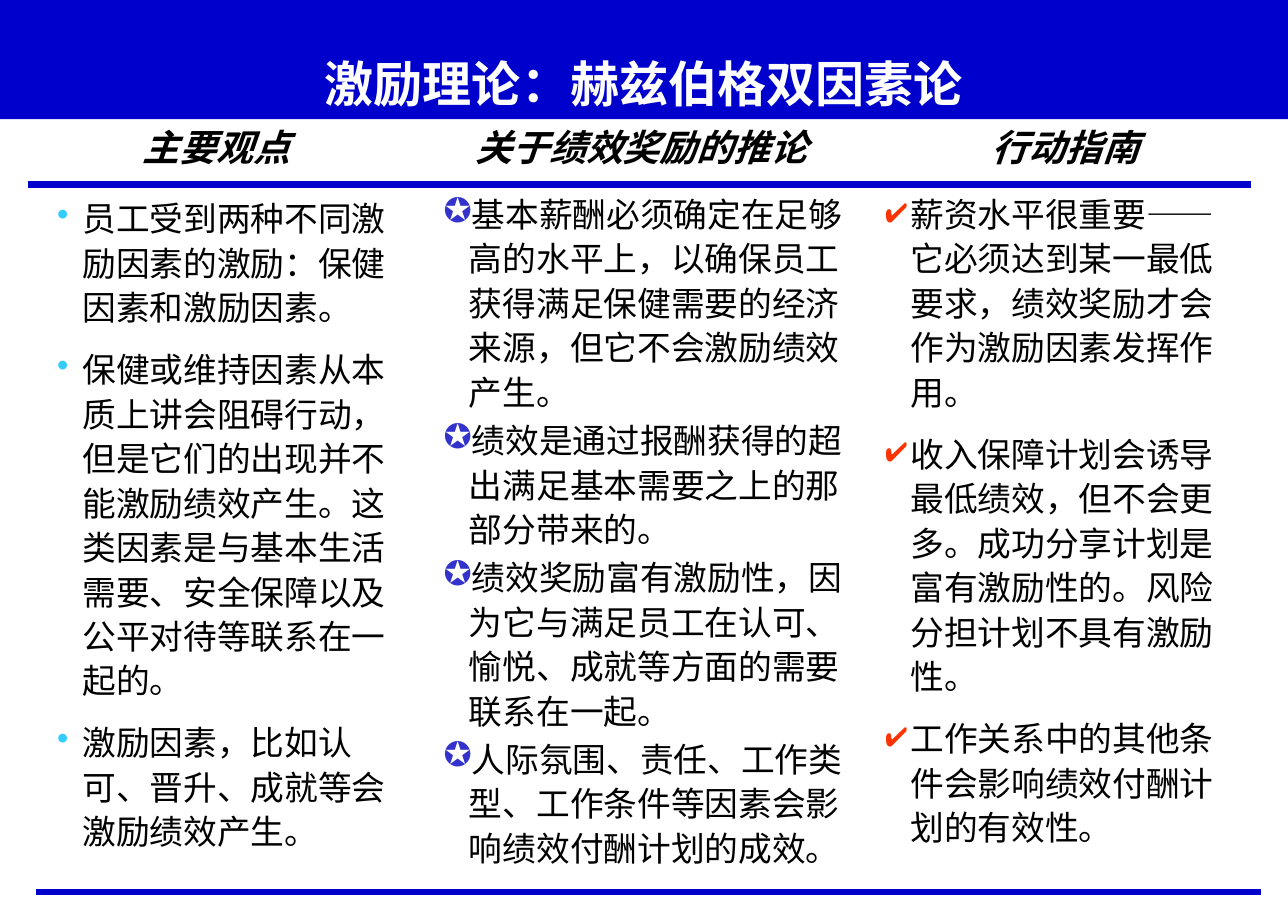
from pptx import Presentation
from pptx.dml.color import RGBColor
from pptx.enum.shapes import MSO_CONNECTOR, MSO_SHAPE
from pptx.enum.text import MSO_ANCHOR, MSO_AUTO_SIZE, PP_ALIGN
from pptx.oxml.ns import qn
from pptx.util import Inches, Pt
from lxml import etree

BLUE = RGBColor(0x00, 0x00, 0xCC)
WHITE = RGBColor(0xFF, 0xFF, 0xFF)
BLACK = RGBColor(0x00, 0x00, 0x00)
CYAN = RGBColor(0x33, 0xCC, 0xFF)
INDIGO = RGBColor(0x33, 0x33, 0xCC)
ORANGE = RGBColor(0xFF, 0x33, 0x00)
CENTER = PP_ALIGN.CENTER
CHINESE_FONT = "Noto Sans CJK SC"
BODY_FONT = "Times New Roman"
LINE_HEIGHT = Pt(29)

# heading, heading box, body box, bullet, bullet colour, paragraph gap, points
COLUMNS = [
    ("主要观点", (0.42, 1.08, 3.08, 0.5), (0.42, 1.71, 3.33, 5.7), "•", CYAN, 11.4, [
        "员工受到两种不同激励因素的激励：保健因素和激励因素。",
        "保健或维持因素从本质上讲会阻碍行动，但是它们的出现并不能激励绩效产生。"
        "这类因素是与基本生活需要、安全保障以及公平对待等联系在一起的。",
        "激励因素，比如认可、晋升、成就等会激励绩效产生。",
    ]),
    ("关于绩效奖励的推论", (4.08, 1.08, 3.46, 0.5), (3.92, 1.67, 4, 6.25), "✪", INDIGO, 2.4, [
        "基本薪酬必须确定在足够高的水平上，以确保员工获得满足保健需要的经济来源，"
        "但它不会激励绩效产生。",
        "绩效是通过报酬获得的超出满足基本需要之上的那部分带来的。",
        "绩效奖励富有激励性，因为它与满足员工在认可、愉悦、成就等方面的需要联系在一起。",
        "人际氛围、责任、工作类型、工作条件等因素会影响绩效付酬计划的成效。",
    ]),
    ("行动指南", (7.92, 1.08, 3.46, 0.5), (7.92, 1.67, 3.25, 6.11), "✔", ORANGE, 11.4, [
        "薪资水平很重要——它必须达到某一最低要求，绩效奖励才会作为激励因素发挥作用。",
        "收入保障计划会诱导最低绩效，但不会更多。成功分享计划是富有激励性的。"
        "风险分担计划不具有激励性。",
        "工作关系中的其他条件会影响绩效付酬计划的有效性。",
    ]),
]


def add_run(p, text, size, font, color, bold=False, italic=False):
    """Add a run with the given Latin font and the Chinese font."""
    r = p.add_run()
    r.text = text
    r.font.size = Pt(size)
    r.font.name = font
    r.font.color.rgb = color
    r.font.bold = bold
    r.font.italic = italic
    etree.SubElement(r.font._element, qn("a:ea"), typeface=CHINESE_FONT)


def add_text_frame(box):
    tf = s.shapes.add_textbox(*map(Inches, box)).text_frame
    tf.word_wrap = True
    tf.auto_size = MSO_AUTO_SIZE.SHAPE_TO_FIT_TEXT
    return tf


prs = Presentation()
prs.slide_width = Inches(35 / 3)
prs.slide_height = Inches(25 / 3)
s = prs.slides.add_slide(prs.slide_layouts[6])

# Title band
band = s.shapes.add_shape(MSO_SHAPE.RECTANGLE, 0, 0, prs.slide_width, Inches(1.08))
band.shadow.inherit = False
band.fill.solid()
band.fill.fore_color.rgb = BLUE
band.line.fill.background()
tf = band.text_frame
tf.word_wrap = True
tf.vertical_anchor = MSO_ANCHOR.BOTTOM
tf.margin_left = tf.margin_right = Inches(0.11)
tf.margin_top = tf.margin_bottom = Inches(0.06)
p = tf.paragraphs[0]
p.alignment = CENTER
add_run(p, "激励理论：赫兹伯格双因素论", 32, CHINESE_FONT, WHITE, bold=True)

# Three columns: heading above bulleted points
for heading, heading_box, body_box, bullet, bullet_color, gap, points in COLUMNS:
    p = add_text_frame(heading_box).paragraphs[0]
    p.alignment = CENTER
    p.line_spacing = LINE_HEIGHT
    add_run(p, heading, 24, BODY_FONT, BLACK, bold=True, italic=True)

    tf = add_text_frame(body_box)
    for i, point in enumerate(points):
        p = tf.add_paragraph() if i else tf.paragraphs[0]
        p.line_spacing = LINE_HEIGHT
        p.space_before = Pt(gap if i else 0)
        pPr = p._p.get_or_add_pPr()
        pPr.set("marL", str(Inches(0.23)))
        pPr.set("indent", str(-Inches(0.23)))
        pPr.set("hangingPunct", "0")
        buClr = etree.SubElement(pPr, qn("a:buClr"))
        etree.SubElement(buClr, qn("a:srgbClr"), val=str(bullet_color))
        etree.SubElement(pPr, qn("a:buChar"), char=bullet)
        add_run(p, point, 22, BODY_FONT, BLACK)

# Rules under the headings and at the foot
for x1, x2, y in [(0.25, 11.33, 1.67), (0.33, 11.42, 8.08)]:
    rule = s.shapes.add_connector(
        MSO_CONNECTOR.STRAIGHT, Inches(x1), Inches(y), Inches(x2), Inches(y))
    rule.line.color.rgb = BLUE
    rule.line.width = Pt(4.5)
    etree.SubElement(rule._element.spPr, qn("a:effectLst"))

prs.save("out.pptx")
